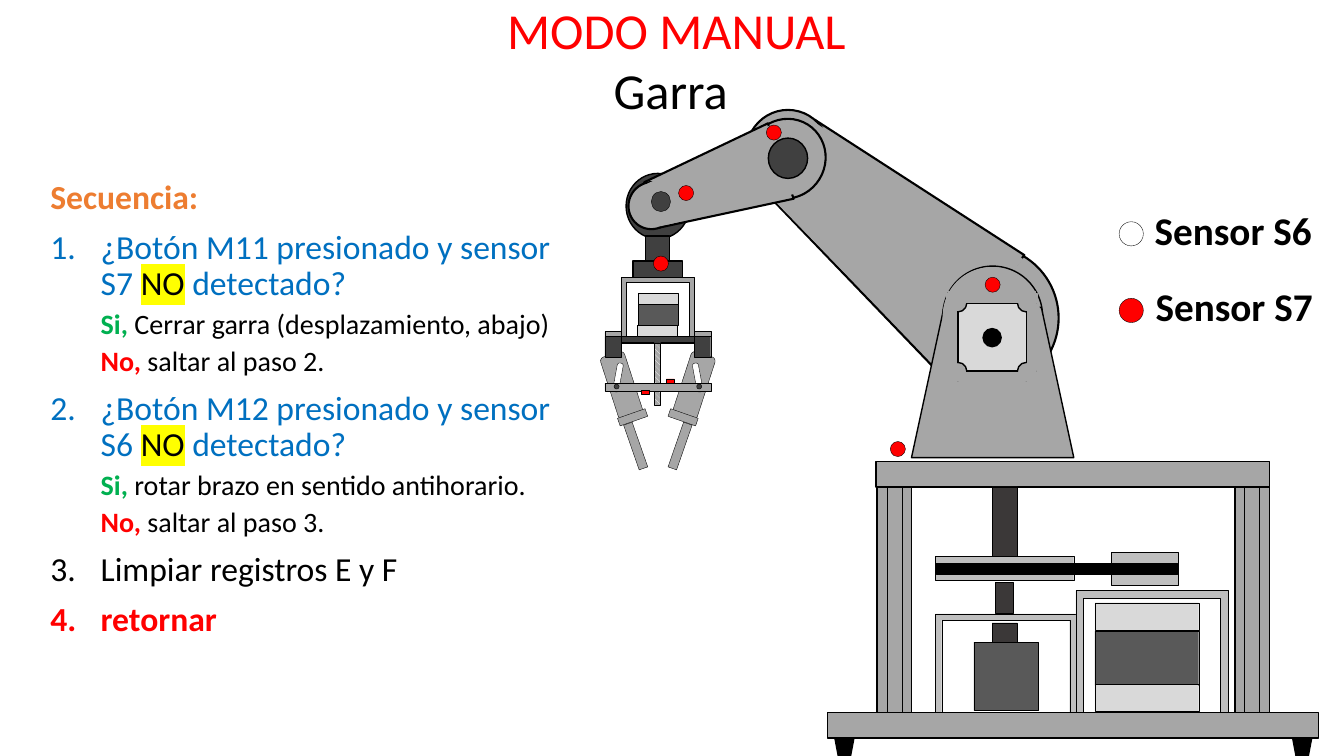
from dataclasses import dataclass, replace
from typing import Optional

from lxml import etree
from pptx import Presentation
from pptx import util as u
from pptx.dml.color import RGBColor
from pptx.enum import dml, shapes, text
from pptx.oxml import ns

BLACK = RGBColor(0x00, 0x00, 0x00)
WHITE = RGBColor(0xFF, 0xFF, 0xFF)
STEEL = RGBColor(0xA6, 0xA6, 0xA6)
SILVER = RGBColor(0xBF, 0xBF, 0xBF)
PALE = RGBColor(0xD9, 0xD9, 0xD9)
IRON = RGBColor(0x59, 0x59, 0x59)
DARK = RGBColor(0x40, 0x40, 0x40)
SHAFT = RGBColor(0x3B, 0x38, 0x38)
RED = RGBColor(0xFF, 0x00, 0x00)
GREEN = RGBColor(0x00, 0xB0, 0x50)
BLUE = RGBColor(0x00, 0x70, 0xC0)
ORANGE = RGBColor(0xED, 0x7D, 0x31)
FONT = "Calibri"
CM_PER_INCH = 2.54

Kind = shapes.MSO_SHAPE
RECT, OVAL, ROUND = Kind.RECTANGLE, Kind.OVAL, Kind.ROUNDED_RECTANGLE
FRAME, TAPER = Kind.FRAME, Kind.FLOWCHART_MANUAL_OPERATION


@dataclass(frozen=True)
class Part:
    x: float
    y: float
    w: float
    h: float
    fill: Optional[RGBColor] = STEEL
    kind: Kind = RECT
    weight: float = 0.25
    line: Optional[RGBColor] = BLACK
    turn: float = 0
    adjust: Optional[float] = None
    hatched: bool = False


@dataclass(frozen=True)
class Span:
    words: str
    color: RGBColor = BLACK
    bold: bool = False
    marked: bool = False


@dataclass(frozen=True)
class Step:
    spans: tuple[Span, ...]
    size: int = 24
    numbered: bool = True
    answer: bool = False


def cm(inches: float) -> u.Length:
    return u.Cm(inches * CM_PER_INCH)


def with_mirror(parts: list[Part], axis: float) -> list[Part]:
    return parts + [replace(p, x=2 * axis - p.x - p.w, turn=-p.turn) for p in parts]


def draw(slide, part: Part) -> None:
    shape = slide.shapes.add_shape(part.kind, cm(part.x), cm(part.y), cm(part.w), cm(part.h))
    shape.shadow.inherit = False
    shape.rotation = part.turn
    if part.adjust is not None:
        shape.adjustments[0] = part.adjust
    if part.hatched:
        shape.fill.patterned()
        shape.fill.pattern = dml.MSO_PATTERN.WIDE_DOWNWARD_DIAGONAL
        shape.fill.fore_color.rgb = WHITE
        shape.fill.back_color.rgb = part.fill
    elif part.fill is None:
        shape.fill.background()
    else:
        shape.fill.solid()
        shape.fill.fore_color.rgb = part.fill
    if part.line is None:
        shape.line.fill.background()
    else:
        shape.line.color.rgb = part.line
        shape.line.width = u.Pt(part.weight)


def write(paragraph, words: str, *, size: int, color: RGBColor = BLACK,
          bold: bool = False, marked: bool = False) -> None:
    run = paragraph.add_run()
    run.text = words
    run.font.name, run.font.size, run.font.bold = FONT, u.Pt(size), bold
    run.font.color.rgb = color
    if marked:
        highlight = etree.Element(ns.qn("a:highlight"))
        etree.SubElement(highlight, ns.qn("a:srgbClr"), val="FFFF00")
        run.font._element.find(ns.qn("a:solidFill")).addnext(highlight)


def add_frame(slide, x: float, y: float, w: float, h: float):
    frame = slide.shapes.add_textbox(cm(x), cm(y), cm(w), cm(h)).text_frame
    frame.word_wrap = True
    return frame


def add_steps(slide, steps: list[Step]) -> None:
    frame = add_frame(slide, 0.4, 1.74, 5.41, 5.02)
    for index, step in enumerate(steps):
        paragraph = frame.add_paragraph() if index else frame.paragraphs[0]
        paragraph.line_spacing = 0.9
        if index:
            paragraph.space_before = u.Pt(5 if step.answer else 10)
        paragraph.level = int(step.answer)
        props = paragraph._p.get_or_add_pPr()
        if step.numbered or step.answer:
            props.set("marL", str(cm(0.5)))
            props.set("indent", str(-cm(0.5) if step.numbered else 0))
        if step.numbered:
            etree.SubElement(props, ns.qn("a:buFont"), typeface="+mj-lt")
            etree.SubElement(props, ns.qn("a:buAutoNum"), type="arabicPeriod")
        for span in step.spans:
            write(paragraph, span.words, size=step.size, color=span.color,
                  bold=span.bold, marked=span.marked)


def question(button: str, sensor: str, yes: str, no: str) -> list[Step]:
    asked = Step((Span(f"¿Botón {button} presionado y sensor {sensor} ", BLUE),
                  Span("NO", marked=True), Span(" detectado?", BLUE)))
    answers = [Step((Span(lead, color, True), Span(rest)), 20, False, True)
               for lead, color, rest in (("Si, ", GREEN, yes), ("No, ", RED, no))]
    return [asked, *answers]


def plate_corners(cx: float, cy: float, half: float) -> list[Part]:
    corners = []
    for sx, sy in ((1, -1), (1, 1), (-1, 1), (-1, -1)):
        x, y = cx + sx * half, cy + sy * half
        corners.append(Part(x - 0.09, y - 0.09, 0.18, 0.18, kind=OVAL, weight=1))
        for w, h, dx, dy in ((0.22, 0.08, 0, 0.05 * sy), (0.08, 0.22, 0.05 * sx, 0)):
            corners.append(Part(x + dx - w / 2, y + dy - h / 2, w, h, line=STEEL, weight=1))
    return corners


def sensor_dot(x: float, y: float, size: float = 0.15, fill: Optional[RGBColor] = RED) -> Part:
    return Part(x, y, size, size, fill, OVAL)


CLAW_AXIS, TABLE_AXIS = 6.525, 10.645

claw = with_mirror([
    Part(6.04, 3.5, 0.25, 0.65, kind=ROUND, turn=-18),
    Part(6.1, 3.6, 0.06, 0.29, WHITE, ROUND, turn=10.5, adjust=0.405),
    Part(6.13, 4.1, 0.29, 0.08, turn=-19.2),
    Part(6.26, 4.19, 0.09, 0.47, turn=-19.2),
], CLAW_AXIS)
wrist = [
    Part(6.21, 1.72, 0.63, 0.65, DARK, OVAL, 1),
    Part(6.4, 2.34, 0.24, 0.25, DARK, weight=1),
    Part(6.28, 2.59, 0.49, 0.2, DARK, weight=1),
    *with_mirror([Part(6, 3.29, 0.21, 0.05)], CLAW_AXIS),
    Part(6.16, 2.75, 0.73, 0.65, kind=FRAME, adjust=0.079),
    Part(6.16, 3.34, 0.73, 0.06, DARK),
    *with_mirror([Part(6, 3.34, 0.16, 0.2, DARK)], CLAW_AXIS),
    Part(6.33, 3.02, 0.4, 0.21, IRON),
    Part(6.33, 2.91, 0.4, 0.11, PALE),
    Part(6.32, 3.23, 0.4, 0.11, PALE),
    Part(6.49, 3.4, 0.06, 0.62, hatched=True),
]
slider = [
    Part(6.61, 3.76, 0.08, 0.04, RED),
    Part(6, 3.8, 1.05, 0.08),
    *with_mirror([Part(6.09, 3.81, 0.05, 0.05, DARK, OVAL)], CLAW_AXIS),
    Part(6.36, 3.87, 0.08, 0.04, RED),
]
upper_arm = [
    Part(9.07, 2.44, 1.43, 1.43, kind=OVAL, weight=1.5),
    Part(8.04, 1.07, 1.43, 2.46, kind=TAPER, weight=1.5, turn=129.5),
    Part(7.4, 1.09, 0.83, 0.85, kind=OVAL, weight=1.5),
    Part(8.08, 1.08, 1.35, 2.46, kind=TAPER, weight=1.5, line=STEEL, turn=129.5),
]
shoulder = [
    Part(9.35, 2.64, 0.99, 1.04, kind=ROUND, weight=1, adjust=0.5),
    Part(9.04, 3.05, 1.61, 1.49, kind=TAPER, weight=1, turn=180),
    Part(9.35, 2.65, 0.97, 0.99, kind=ROUND, line=None, adjust=0.5),
    Part(9.5, 3.01, 0.68, 0.67, PALE, weight=1),
    Part(9.75, 3.26, 0.18, 0.18, BLACK, OVAL, 1),
    *plate_corners(9.84, 3.345, 0.34),
]
forearm = [
    Part(7.4, 1.19, 0.8, 0.77, kind=OVAL, weight=1.5, turn=301.7),
    Part(6.71, 1.14, 0.79, 1.35, kind=TAPER, weight=1.5, turn=71.2),
    Part(6.23, 1.81, 0.47, 0.46, kind=OVAL, weight=1.5, turn=301.7),
    Part(6.77, 1.13, 0.7, 1.36, kind=TAPER, weight=1.5, line=STEEL, turn=70.5),
    Part(7.62, 1.37, 0.39, 0.4, DARK, OVAL, 1),
    Part(6.46, 1.9, 0.19, 0.2, DARK, OVAL),
]
sensors = [sensor_dot(x, y) for x, y in
           ((6.73, 1.84), (6.48, 2.54), (8.83, 4.38), (9.77, 2.75), (7.6, 1.24))]
legend = [sensor_dot(11.1, 2.96, 0.24), sensor_dot(11.1, 2.2, 0.24, None)]
table_base = [
    Part(9.28, 6.09, 1.39, 1.09, SILVER, FRAME, adjust=0.055),
    Part(10.67, 5.86, 1.51, 1.38, SILVER, FRAME, adjust=0.055),
    Part(8.69, 4.58, 3.9, 0.25, weight=1),
    Part(8.21, 7.07, 4.87, 0.25, weight=1),
    *with_mirror([Part(8.7, 4.83, 0.34, 2.24, weight=1),
                  Part(8.8, 4.83, 0.15, 2.24, weight=1),
                  Part(8.28, 7.32, 0.19, 0.2, BLACK, TAPER, 1)], TABLE_AXIS),
    Part(10.86, 6.26, 1.03, 0.54, IRON),
    Part(10.86, 5.98, 1.03, 0.27, PALE),
    Part(10.86, 6.79, 1.03, 0.27, PALE),
    Part(9.66, 6.37, 0.64, 0.68, IRON),
    Part(9.28, 5.52, 1.37, 0.24, SILVER),
    Part(11.02, 5.48, 0.67, 0.33, SILVER),
    Part(9.29, 5.59, 2.39, 0.11, BLACK, weight=1),
    Part(9.84, 4.83, 0.25, 0.69, SHAFT),
    Part(9.84, 6.18, 0.25, 0.19, SHAFT),
    Part(9.87, 5.78, 0.18, 0.3, SHAFT),
]
sequence = [
    Step((Span("Secuencia:", ORANGE, True),), numbered=False),
    *question("M11", "S7", "Cerrar garra (desplazamiento, abajo)", "saltar al paso 2."),
    *question("M12", "S6", "rotar brazo en sentido antihorario.", "saltar al paso 3."),
    Step((Span("Limpiar registros E y F"),)),
    Step((Span("retornar", RED, True),)),
]


def main() -> None:
    deck = Presentation()
    deck.slide_width, deck.slide_height = cm(13.33), cm(7.5)
    slide = deck.slides.add_slide(deck.slide_layouts[5])

    title = slide.shapes.title
    title.left, title.top, title.width, title.height = cm(0.66), cm(0.05), cm(12.1), cm(1.19)
    title.text_frame.auto_size = text.MSO_AUTO_SIZE.NONE
    title.text_frame.vertical_anchor = text.MSO_ANCHOR.BOTTOM
    heading = title.text_frame.paragraphs[0]
    heading.alignment = text.PP_ALIGN.CENTER
    write(heading, "MODO MANUAL", size=36, color=RED)
    heading.add_line_break()
    write(heading, "Garra ", size=36)

    add_steps(slide, sequence)
    for part in (claw + wrist + slider + upper_arm + shoulder + forearm
                 + sensors + legend + table_base):
        draw(slide, part)
    for label, x, y in (("Sensor S6", 11.22, 2.05), ("Sensor S7", 11.23, 2.8)):
        caption = add_frame(slide, x, y, 2.02, 0.5).paragraphs[0]
        caption.alignment, caption.line_spacing = text.PP_ALIGN.CENTER, 0.9
        write(caption, label, size=28, bold=True)

    deck.save("out.pptx")


if __name__ == "__main__":
    main()
